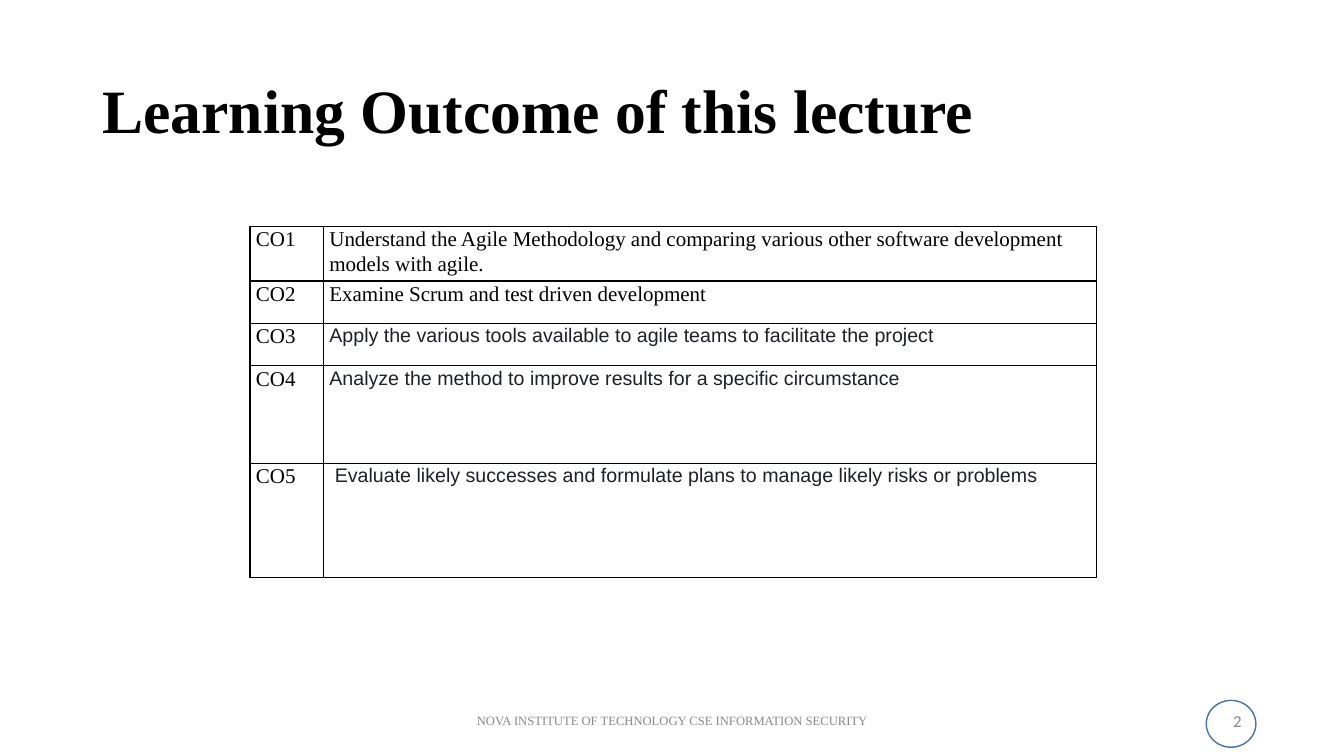
from dataclasses import dataclass

from lxml.etree import SubElement
from pptx import Presentation
from pptx.dml.color import RGBColor
from pptx.enum.shapes import MSO_SHAPE as Shape
from pptx.enum.text import MSO_ANCHOR as Anchor, PP_ALIGN as Align
from pptx.oxml.ns import qn
from pptx.slide import Slide
from pptx.table import _Cell as Cell
from pptx.util import Cm, Pt


@dataclass(frozen=True)
class TextStyle:
    font: str
    size: float
    color: str
    bold: bool = False


@dataclass(frozen=True)
class Theme:
    title: TextStyle = TextStyle("Times New Roman", 44, "000000", True)
    serif: TextStyle = TextStyle("Times New Roman", 15, "000000")
    sans: TextStyle = TextStyle("Arial", 14, "1D2125")
    footer: TextStyle = TextStyle("Times New Roman", 9, "898989")
    number: TextStyle = TextStyle("Calibri", 12, "898989")
    border: str = "000000"
    ring: str = "43739E"


@dataclass(frozen=True)
class TextBox:
    text: str
    left: float
    top: float
    width: float
    height: float
    style: TextStyle
    align: Align
    line_spacing: float = 1.0


@dataclass(frozen=True)
class Outcome:
    code: str
    text: str
    height: float
    style: TextStyle


THEME = Theme()
TABLE_LEFT, TABLE_TOP = 6.3, 5.71
COLUMN_WIDTHS = (1.85, 19.48)

BOXES = (
    TextBox("Learning Outcome of this lecture", 2.33, 1.01, 29.21, 3.68,
            THEME.title, Align.LEFT, 0.9),
    TextBox("NOVA INSTITUTE OF TECHNOLOGY CSE INFORMATION SECURITY",
            11.22, 17.65, 11.43, 1.01, THEME.footer, Align.CENTER),
    TextBox("2", 23.92, 17.65, 7.62, 1.01, THEME.number, Align.RIGHT),
)

OUTCOMES = (
    Outcome("CO1", "Understand the Agile Methodology and comparing various other "
            "software development models with agile.", 1.37, THEME.serif),
    Outcome("CO2", "Examine Scrum and test driven development", 1.07, THEME.serif),
    Outcome("CO3", "Apply the various tools available to agile teams to facilitate "
            "the project", 1.07, THEME.sans),
    Outcome("CO4", "Analyze the method to improve results for a specific "
            "circumstance", 2.46, THEME.sans),
    Outcome("CO5", " Evaluate likely successes and formulate plans to manage likely "
            "risks or problems", 2.87, THEME.sans),
)


def write(para, text: str, style: TextStyle, align: Align, line_spacing: float) -> None:
    para.alignment = align
    para.line_spacing = line_spacing
    span = para.add_run()
    span.text = text
    span.font.name = style.font
    span.font.size = Pt(style.size)
    span.font.bold = style.bold
    span.font.color.rgb = RGBColor.from_string(style.color)


def add_text_box(page: Slide, item: TextBox) -> None:
    box = page.shapes.add_textbox(Cm(item.left), Cm(item.top), Cm(item.width), Cm(item.height))
    frame = box.text_frame
    frame.word_wrap = True
    frame.vertical_anchor = Anchor.MIDDLE
    write(frame.paragraphs[0], item.text, item.style, item.align, item.line_spacing)


def add_borders(cell: Cell) -> None:
    """Draw all four sides; call before the fill is set, as the schema puts lines first."""
    properties = cell._tc.get_or_add_tcPr()
    for side in ("a:lnL", "a:lnR", "a:lnT", "a:lnB"):
        line = SubElement(properties, qn(side), w=str(Pt(1)))
        fill = SubElement(line, qn("a:solidFill"))
        SubElement(fill, qn("a:srgbClr"), val=THEME.border)


def fill_cell(cell: Cell, text: str, style: TextStyle, align: Align) -> None:
    add_borders(cell)
    cell.fill.background()
    cell.margin_left = cell.margin_right = Cm(0.15)
    cell.margin_top = cell.margin_bottom = Cm(0)
    write(cell.text_frame.paragraphs[0], text, style, align, 1.07)


def add_outcome_table(page: Slide) -> None:
    frame = page.shapes.add_table(
        len(OUTCOMES), len(COLUMN_WIDTHS), Cm(TABLE_LEFT), Cm(TABLE_TOP),
        Cm(sum(COLUMN_WIDTHS)), Cm(sum(outcome.height for outcome in OUTCOMES)))
    table = frame.table
    table.first_row = table.horz_banding = False
    for column, width in zip(table.columns, COLUMN_WIDTHS):
        column.width = Cm(width)
    for row, outcome in zip(table.rows, OUTCOMES):
        row.height = Cm(outcome.height)
        fill_cell(row.cells[0], outcome.code, THEME.serif, Align.JUSTIFY)
        fill_cell(row.cells[1], outcome.text, outcome.style, Align.LEFT)


def add_number_ring(page: Slide) -> None:
    ring = page.shapes.add_shape(Shape.OVAL, Cm(30.4), Cm(17.65), Cm(1.25), Cm(1.18))
    ring.shadow.inherit = False
    ring.fill.background()
    ring.line.color.rgb = RGBColor.from_string(THEME.ring)
    ring.line.width = Pt(1)


def main() -> None:
    deck = Presentation()
    deck.slide_width, deck.slide_height = Cm(33.87), Cm(19.05)
    page = deck.slides.add_slide(deck.slide_layouts[6])
    add_number_ring(page)
    add_outcome_table(page)
    for item in BOXES:
        add_text_box(page, item)
    deck.save("out.pptx")


if __name__ == "__main__":
    main()
